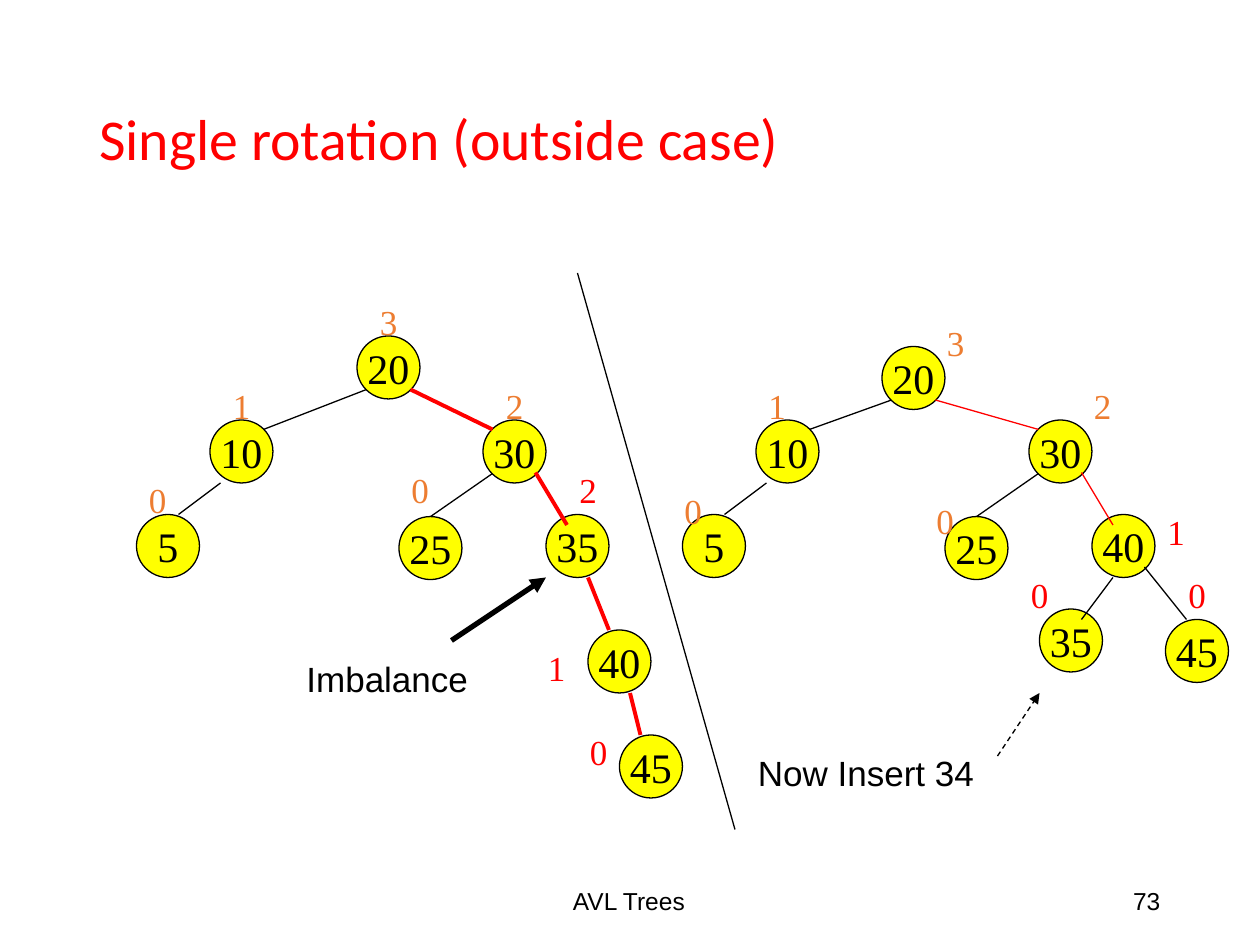
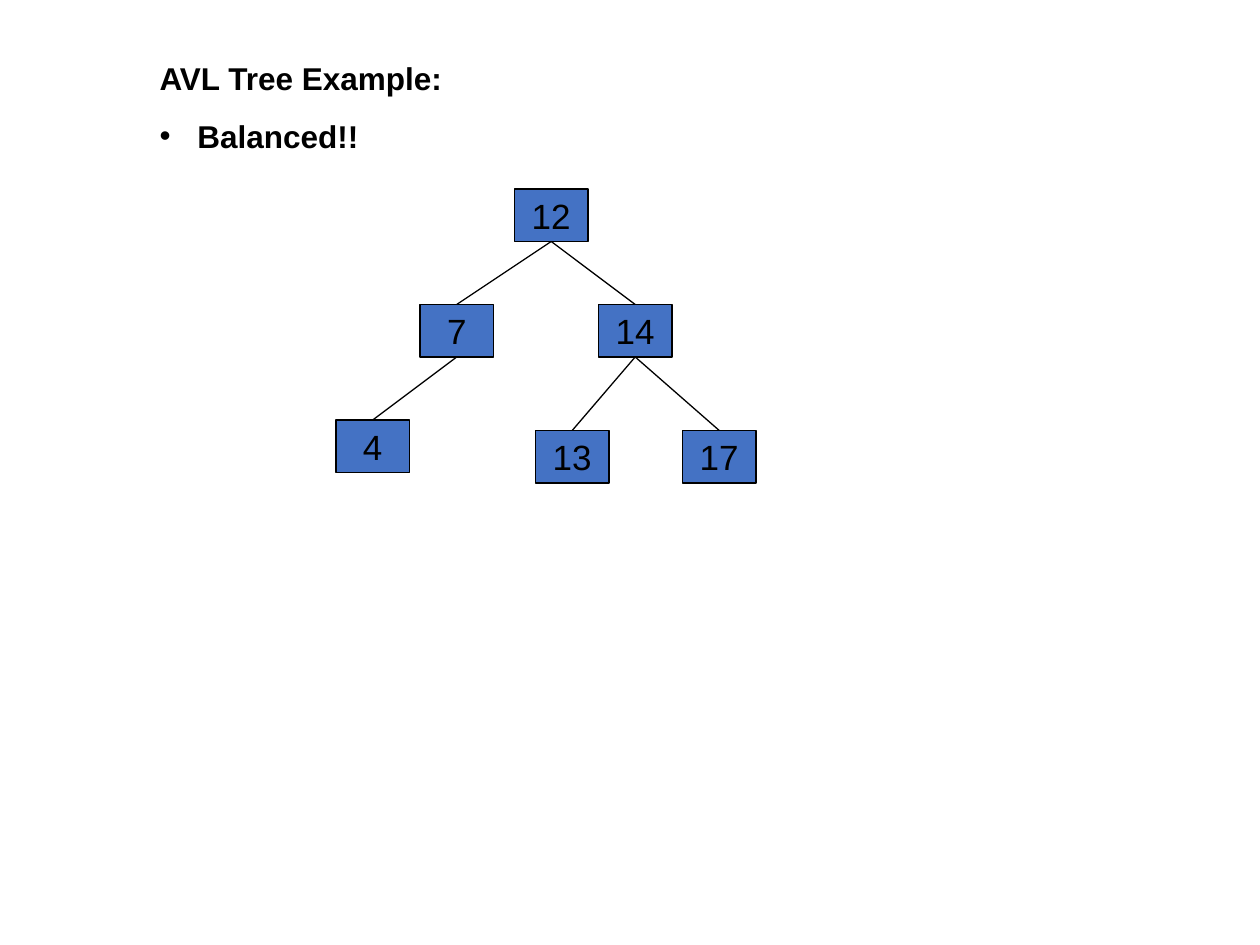
import pptx
import pptx.util
import pptx.dml.color
import pptx.enum.dml
import pptx.enum.shapes
import pptx.enum.text
import pptx.oxml
import pptx.oxml.ns

COLORS = {
    "ink": "000000",
    "red": "FF0000",
    "orange": "ED7D31",
    "yellow": "FFFF00",
    "blue": "4472C4",
}
SANS, SERIF, HEAD = "Arial", "Times New Roman", "Calibri"
ALIGN = pptx.enum.text.PP_ALIGN
ANCHOR = pptx.enum.text.MSO_ANCHOR
SHAPE = pptx.enum.shapes.MSO_SHAPE

# The slide is a grid of 120 columns by 90 rows
CELL = pptx.util.Inches(10) / 120
CIRCLE = 6
BOX_W, BOX_H = 7, 5

# Height trees: value -> (node column, row, height, label column, row, label colour)
# Edges: parent, point on parent, child, point on child, colour
SW, SE, NW, NE = (0.9, 5.1), (5.1, 5.1), (0.9, 0.9), (5.1, 0.9)
SHARED_EDGES = [
    ("20", SW, "10", NE, "ink"),
    ("20", SE, "30", NW, "red"),
    ("30", SW, "25", (3, 0), "ink"),
    ("10", (1, 6), "5", (4, 0), "ink"),
]
BEFORE_NODES = {
    "20": (34, 32, "3", 35, 28, "orange"),
    "10": (20, 40, "1", 21, 36, "orange"),
    "30": (46, 40, "2", 47, 36, "orange"),
    "25": (38, 49.2, "0", 38, 44, "orange"),
    "35": (52, 49, "2", 54, 44, "red"),
    "5": (13, 49, "0", 13, 45, "orange"),
    "40": (56, 60, "1", 51, 61, "red"),
    "45": (59, 70, "0", 55, 69, "red"),
}
BEFORE_EDGES = SHARED_EDGES + [
    ("30", (5, 5), "35", (2, 1), "red"),
    ("35", (4, 6), "40", (2, 0), "red"),
    ("40", (4, 6), "45", (2, 0), "red"),
]
AFTER_NODES = {
    "20": (84, 33, "3", 89, 30, "orange"),
    "10": (72, 40, "1", 72, 36, "orange"),
    "30": (98, 40, "2", 103, 36, "orange"),
    "25": (90, 49.2, "0", 88, 47, "orange"),
    "40": (104, 49, "1", 110, 48, "red"),
    "5": (65, 49, "0", 64, 46, "orange"),
    "35": (99, 58, "0", 97, 54, "red"),
    "45": (111, 59, "0", 112, 54, "red"),
}
AFTER_EDGES = SHARED_EDGES + [
    ("30", (5, 5), "40", (2, 1), "red"),
    ("40", (5, 5), "45", (2, 0), "ink"),
    ("40", (2, 6), "35", (4, 1), "ink"),
]

# Balanced tree of boxes
BOXES = {
    "12": (49, 18), "7": (40, 29), "14": (57, 29),
    "4": (32, 40), "13": (51, 41), "17": (65, 41),
}
BOX_EDGES = [("12", "7"), ("12", "14"), ("7", "4"), ("14", "13"), ("14", "17")]


def grid(*lengths):
    return [pptx.util.Emu(round(n * CELL)) for n in lengths]


def rgb(name):
    return pptx.dml.color.RGBColor.from_string(COLORS[name])


def write(sp, text, size, font, color="ink", align=ALIGN.LEFT,
          anchor=ANCHOR.TOP, bold=False, wrap=True):
    """Put one formatted paragraph into a shape and return it."""
    tf = sp.text_frame
    tf.text = text
    tf.word_wrap = wrap
    tf.auto_size = pptx.enum.text.MSO_AUTO_SIZE.NONE
    tf.vertical_anchor = anchor
    p = tf.paragraphs[0]
    p.alignment = align
    p.space_before = pptx.util.Pt(0)
    f = p.runs[0].font
    f.size, f.name, f.bold = pptx.util.Pt(size), font, bold
    f.color.rgb = rgb(color)
    return p


def place(sp, *cells):
    sp.left, sp.top, sp.width, sp.height = grid(*cells)
    return sp


def text_box(s, cells, text, size=20, font=SANS, **style):
    sp = s.shapes.add_textbox(*grid(*cells))
    write(sp, text, size, font, **style)


def node(s, kind, cells, text, fill, size, font):
    sp = s.shapes.add_shape(kind, *grid(*cells))
    sp.shadow.inherit = False
    sp.fill.solid()
    sp.fill.fore_color.rgb = rgb(fill)
    sp.line.color.rgb = rgb("ink")
    sp.line.width = pptx.util.Pt(0.75)
    write(sp, text, size, font, align=ALIGN.CENTER, anchor=ANCHOR.MIDDLE,
          wrap=False)
    return sp


def line(s, start, end, color="ink", width=0.75, dashed=False, arrow=False):
    cx = s.shapes.add_connector(pptx.enum.shapes.MSO_CONNECTOR.STRAIGHT,
                                *grid(*start, *end))
    cx.line.color.rgb = rgb(color)
    cx.line.width = pptx.util.Pt(width)
    if dashed:
        cx.line.dash_style = pptx.enum.dml.MSO_LINE.DASH
    if arrow:
        head = pptx.oxml.parse_xml(
            f'<a:tailEnd {pptx.oxml.ns.nsdecls("a")} type="triangle"/>')
        cx.line._get_or_add_ln().append(head)
    cx._element.spPr.append(pptx.oxml.parse_xml(
        f'<a:effectLst {pptx.oxml.ns.nsdecls("a")}/>'))
    return cx


def height_tree(s, nodes, edges, red_width):
    for value, (col, row, *_) in nodes.items():
        node(s, SHAPE.OVAL, (col, row, CIRCLE, CIRCLE), value, "yellow", 24, SERIF)
    for parent, (px, py), child, (qx, qy), color in edges:
        (pc, pr), (qc, qr) = nodes[parent][:2], nodes[child][:2]
        line(s, (pc + px, pr + py), (qc + qx, qr + qy), color,
             red_width if color == "red" else 0.75)
    for _, _, height, col, row, color in nodes.values():
        text_box(s, (col, row, 4, 5.3), height, font=SERIF, color=color, wrap=False)


def box_tree(s, boxes, edges):
    shapes = {value: node(s, SHAPE.RECTANGLE, (*at, BOX_W, BOX_H), value,
                          "blue", 20, SANS)
              for value, at in boxes.items()}
    for parent, child in edges:
        cx = line(s, (0, 0), (1, 1))
        cx.begin_connect(shapes[parent], 2)
        cx.end_connect(shapes[child], 0)


def bullet(p, indent):
    pPr = p._p.get_or_add_pPr()
    pPr.set("marL", str(indent))
    pPr.set("indent", str(-indent))
    ns = pptx.oxml.ns.nsdecls("a")
    pPr.append(pptx.oxml.parse_xml(f'<a:buFont {ns} typeface="{SANS}"/>'))
    pPr.append(pptx.oxml.parse_xml(f'<a:buChar {ns} char="•"/>'))


def rotation_slide(prs):
    s = prs.slides.add_slide(prs.slide_layouts[5])
    title = place(s.shapes.title, 8.25, 4.8, 103.5, 17.4)
    p = write(title, "Single rotation (outside case)", 33, HEAD, "red",
              anchor=ANCHOR.MIDDLE)
    p.line_spacing = 0.9

    # Trees before and after the rotation, with the divider
    height_tree(s, BEFORE_NODES, BEFORE_EDGES, 2.25)
    height_tree(s, AFTER_NODES, AFTER_EDGES, 0.75)
    line(s, (55, 26), (70, 79))

    # Remarks and their arrows
    text_box(s, (28, 62, 18, 5.3), "Imbalance")
    line(s, (43, 61), (52, 55), width=3, arrow=True)
    text_box(s, (71, 71, 25, 5.3), "Now Insert 34")
    line(s, (95, 72), (99, 66), dashed=True, arrow=True)

    # Footer
    text_box(s, (39.7, 83.4, 40.4, 4.8), "AVL Trees", 14,
             align=ALIGN.CENTER, anchor=ANCHOR.MIDDLE)
    text_box(s, (84.7, 83.4, 27, 4.8), "73", 14,
             align=ALIGN.RIGHT, anchor=ANCHOR.MIDDLE)


def example_slide(prs):
    s = prs.slides.add_slide(prs.slide_layouts[1])
    write(place(s.shapes.title, 14, 5, 101, 5), "AVL Tree Example:", 18, SANS,
          bold=True)
    body = place(s.placeholders[1], 14, 10.5, 101, 5)
    bullet(write(body, "Balanced!!", 18, SANS, bold=True), pptx.util.Inches(0.3))
    box_tree(s, BOXES, BOX_EDGES)


def main():
    prs = pptx.Presentation()
    prs.slide_width, prs.slide_height = grid(120, 90)
    rotation_slide(prs)
    example_slide(prs)
    prs.save("out.pptx")


if __name__ == "__main__":
    main()
